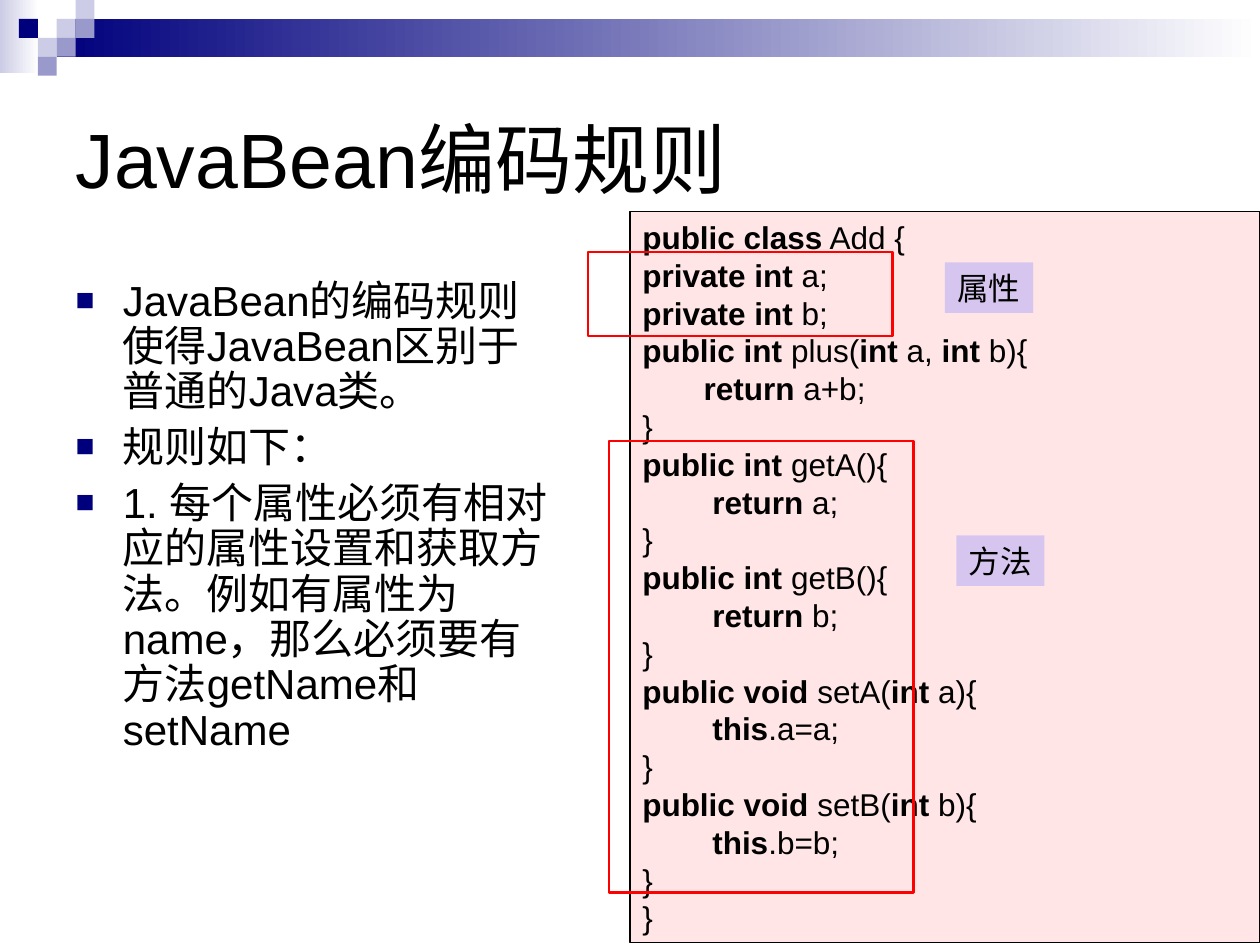
from typing import NamedTuple

from lxml import etree
from pptx import Presentation
from pptx.dml.color import RGBColor
from pptx.enum.shapes import MSO_SHAPE
from pptx.enum.text import MSO_ANCHOR, MSO_AUTO_SIZE, PP_ALIGN
from pptx.oxml.ns import qn
from pptx.util import Pt

RECT = MSO_SHAPE.RECTANGLE
TOP, MIDDLE = MSO_ANCHOR.TOP, MSO_ANCHOR.MIDDLE
LEFT = PP_ALIGN.LEFT
NO_AUTOFIT = MSO_AUTO_SIZE.NONE

FONT = "Arial"
COLORS = {
    "text": "000000",
    "white": "FFFFFF",
    "navy": "00007D",
    "mid": "9999CC",
    "pale": "CCCCE6",
    "red": "FF0000",
    "label": "9999FF",
}


class Box(NamedTuple):
    left: float
    top: float
    width: float
    height: float


class Square(NamedTuple):
    col: int
    row: int
    color: str


class Label(NamedTuple):
    text: str
    box: Box


class CodeLine(NamedTuple):
    text: str  # asterisks switch bold on and off
    indent: float = 0


CELL = 10.8
SQUARES = [
    Square(3, 1, "pale"), Square(4, 0, "pale"), Square(4, 1, "mid"),
    Square(2, 2, "pale"), Square(1, 1, "navy"), Square(3, 2, "mid"),
    Square(2, 3, "mid"),
]
BANDS = [(Box(0, 0, 22.3, 41.8), "pale"), (Box(32.4, 10.8, 687.6, 21.6), "navy")]

TITLE = "JavaBean编码规则"
RULES = [
    "JavaBean的编码规则使得JavaBean区别于普通的Java类。",
    "规则如下：",
    "1. 每个属性必须有相对应的属性设置和获取方法。例如有属性为name，"
    "那么必须要有方法getName和setName",
]
CODE = [
    CodeLine("*public class* Add {"),
    CodeLine("*private int* a;"),
    CodeLine("*private int* b;"),
    CodeLine("*public int* plus(*int* a, *int* b){"),
    CodeLine("*return* a+b;", 35),
    CodeLine("}"),
    CodeLine("*public int* getA(){"),
    CodeLine("*return* a;", 40),
    CodeLine("}"),
    CodeLine("*public int* getB(){"),
    CodeLine("*return* b;", 40),
    CodeLine("}"),
    CodeLine("*public void* setA(*int* a){"),
    CodeLine("*this*.a=a;", 40),
    CodeLine("}"),
    CodeLine("*public void* setB(*int* b){"),
    CodeLine("*this*.b=b;", 40),
    CodeLine("}"),
    CodeLine("}"),
]
CODE_BOX = Box(360, 121, 360, 417.6)
FRAMES = [Box(336, 144, 174, 48), Box(348, 252, 174, 258)]
LABELS = [
    Label("属性", Box(540, 150, 50.4, 28.8)),
    Label("方法", Box(546.5, 306, 50.4, 28.8)),
]


def rgb(name: str) -> RGBColor:
    return RGBColor.from_string(COLORS[name])


def style_run(r, size: float, bold: bool = False) -> None:
    r.font.name = FONT
    r.font.size = Pt(size)
    r.font.bold = bold
    r.font.color.rgb = rgb("text")


def add_rect(s, box: Box, fill: str | None = None, alpha: int = 100,
             line: str | None = None, weight: float = 0.75):
    """Add a rectangle; alpha is the opacity of its fill in percent."""
    sp = s.shapes.add_shape(RECT, *map(Pt, box))
    sp.shadow.inherit = False
    if fill:
        sp.fill.solid()
        sp.fill.fore_color.rgb = rgb(fill)
        if alpha < 100:
            color = sp.element.spPr.find(f"{qn('a:solidFill')}/{qn('a:srgbClr')}")
            etree.SubElement(color, qn("a:alpha"), val=str(alpha * 1000))
    else:
        sp.fill.background()
    if line:
        sp.line.color.rgb = rgb(line)
        sp.line.width = Pt(weight)
    else:
        sp.line.fill.background()
    return sp


def add_band(s, box: Box, color: str) -> None:
    """Add a rectangle that fades from a colour to white."""
    fill = add_rect(s, box).fill
    fill.gradient()
    fill.gradient_angle = 0
    for stop, name in zip(fill.gradient_stops, (color, "white")):
        stop.color.rgb = rgb(name)


def place(sp, box: Box, anchor):
    """Position a placeholder and return its text frame."""
    sp.left, sp.top, sp.width, sp.height = map(Pt, box)
    tf = sp.text_frame
    tf.auto_size = NO_AUTOFIT
    tf.vertical_anchor = anchor
    return tf


def add_bullet(p) -> None:
    pPr = p._p.get_or_add_pPr()
    pPr.set("marL", str(Pt(27)))
    pPr.set("indent", str(-Pt(27)))
    color = etree.SubElement(pPr, qn("a:buClr"))
    etree.SubElement(color, qn("a:srgbClr"), val=COLORS["navy"])
    etree.SubElement(pPr, qn("a:buSzPct"), val="75000")
    etree.SubElement(pPr, qn("a:buFont"), typeface=FONT)
    etree.SubElement(pPr, qn("a:buChar"), char="■")


def add_title(s) -> None:
    tf = place(s.shapes.title, Box(36, 36, 648, 108), MIDDLE)
    tf.text = TITLE
    p = tf.paragraphs[0]
    p.alignment = LEFT
    style_run(p.runs[0], 44)


def add_rules(s) -> None:
    tf = place(s.placeholders[1], Box(36, 156, 288, 306), TOP)
    tf.text = "\n".join(RULES)
    for p in tf.paragraphs:
        p.line_spacing = Pt(25.9)
        p.space_before = Pt(6)
        add_bullet(p)
        style_run(p.runs[0], 24)


def add_code(s) -> None:
    tf = add_rect(s, CODE_BOX, "red", 10, "text").text_frame
    tf.word_wrap = True
    tf.vertical_anchor = TOP
    for i, line in enumerate(CODE):
        p = tf.add_paragraph() if i else tf.paragraphs[0]
        p.alignment = LEFT
        p.line_spacing = Pt(21.6)
        p._p.get_or_add_pPr().set("marL", str(Pt(line.indent)))
        for j, part in enumerate(line.text.split("*")):
            if part:
                r = p.add_run()
                r.text = part
                style_run(r, 18, bold=j % 2 == 1)


def add_label(s, label: Label) -> None:
    tf = add_rect(s, label.box, "label", 40).text_frame
    tf.word_wrap = False
    tf.text = label.text
    tf.paragraphs[0].alignment = LEFT
    style_run(tf.paragraphs[0].runs[0], 18)


def main() -> None:
    prs = Presentation()
    prs.slide_width, prs.slide_height = Pt(720), Pt(540)
    s = prs.slides.add_slide(prs.slide_layouts[1])
    for box, color in BANDS:
        add_band(s, box, color)
    for sq in SQUARES:
        add_rect(s, Box(sq.col * CELL, sq.row * CELL, CELL, CELL), sq.color)
    add_title(s)
    add_rules(s)
    add_code(s)
    for frame, label in zip(FRAMES, LABELS):
        add_rect(s, frame, line="red", weight=1.5)
        add_label(s, label)
    prs.save("out.pptx")


if __name__ == "__main__":
    main()
